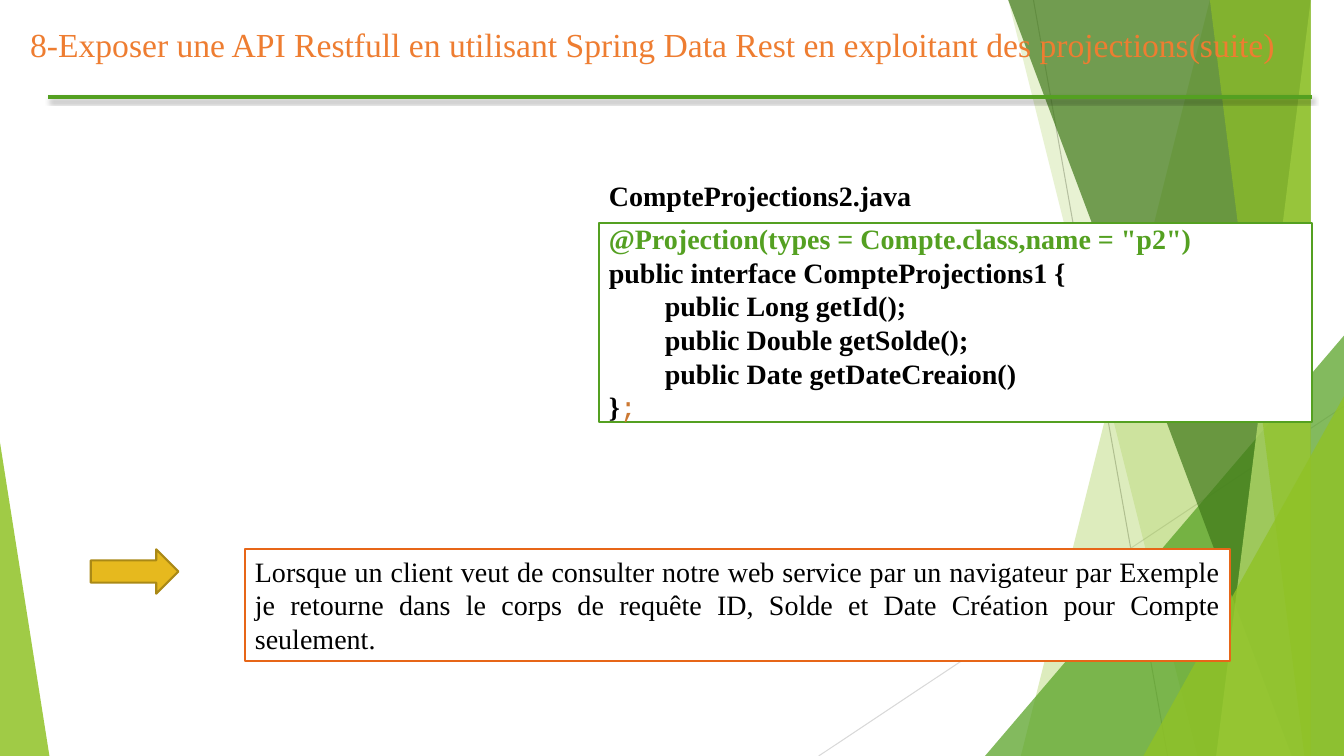
import lxml.etree
import pptx
import pptx.dml.color
import pptx.enum.shapes
import pptx.enum.text
import pptx.oxml.ns
import pptx.util

Inches = pptx.util.Inches
Pt = pptx.util.Pt
qn = pptx.oxml.ns.qn
SHAPE = pptx.enum.shapes.MSO_SHAPE
ANCHOR = pptx.enum.text.MSO_ANCHOR
ALIGN = pptx.enum.text.PP_ALIGN

THEME = {
    "font": "Times New Roman", "mono": "Courier New",
    "title_size": 24, "body_size": 20,
    "title": "EE7D31", "text": "000000", "white": "FFFFFF",
    "green": "54A021", "lime": "90C226", "dark": "3F7819", "pale": "C0E474",
    "orange": "E76618", "gold": "E6B91E", "gold_line": "AA8916",
    "semicolon": "CC7832", "grey": "BFBFBF", "light_grey": "D9D9D9",
}
WIDTH, HEIGHT, TOP = 13.33, 7.5, -0.01

TITLE = ("8-Exposer une API Restfull en utilisant Spring Data Rest "
         "en exploitant des projections(suite)")
FILE_NAME = "CompteProjections2.java"
CODE = [
    [('@Projection(types = Compte.class,name = "p2")', "font", "green")],
    [("public interface CompteProjections1 {", "font", "text")],
    [("        public Long getId();", "font", "text")],
    [("        public Double getSolde();", "font", "text")],
    [("        public Date getDateCreaion()", "font", "text")],
    [("}", "font", "text"), (";", "mono", "semicolon")],
]
NOTE = ("Lorsque un client veut de consulter notre web service par un navigateur "
        "par Exemple je retourne dans le corps de requête ID, Solde et Date "
        "Création pour Compte seulement.")

RAYS = [((10.25, 0), (11.58, HEIGHT), "grey"),
        ((WIDTH, 4.03), (8.12, HEIGHT), "light_grey")]
FACETS = [
    ("band", (12.28, 10.04), "lime", 30),
    ("band", (10.5, 11.83), "lime", 20),
    ("triangle", (9.77, 3.33, 3.56, 4.17, 1), "green", 72),
    ("band", (10.21, 12.91), "dark", 70),
    ("band", (13.03, 11.92), "pale", 70),
    ("band", (11.96, 13.18), "lime", 65),
    ("triangle", (11.34, 3.93, 1.99, 3.57, 1), "lime", 80),
    ("triangle", (0, 4.39, 0.49, 3.11, 0), "lime", 85),
]


def rgb(name):
    return pptx.dml.color.RGBColor.from_string(THEME[name])


def paint(sp, fill, line=None, alpha=100):
    sp.shadow.inherit = False
    sp.fill.solid()
    sp.fill.fore_color.rgb = rgb(fill)
    if alpha < 100:
        color = sp._element.spPr.find(qn("a:solidFill"))[0]
        lxml.etree.SubElement(color, qn("a:alpha"), val=str(alpha * 1000))
    if line:
        sp.line.color.rgb = rgb(line)
        sp.line.width = Pt(1.5)
    else:
        sp.line.fill.background()


def add_shape(slide, kind, box, fill, line=None, alpha=100):
    sp = slide.shapes.add_shape(kind, *map(Inches, box))
    paint(sp, fill, line, alpha)
    return sp


def add_line(slide, start, end, color, width):
    cxn = slide.shapes.add_connector(
        pptx.enum.shapes.MSO_CONNECTOR.STRAIGHT, *map(Inches, start + end))
    cxn.line.color.rgb = rgb(color)
    cxn.line.width = Pt(width)
    return lxml.etree.SubElement(cxn._element.spPr, qn("a:effectLst"))


def add_band(slide, top_x, bottom_x, fill, alpha):
    outline = slide.shapes.build_freeform(top_x, TOP, scale=Inches(1))
    outline.add_line_segments(
        [(WIDTH, TOP), (WIDTH, HEIGHT), (bottom_x, HEIGHT)], close=True)
    paint(outline.convert_to_shape(), fill, alpha=alpha)


def style(font, size, color, bold=False, face="font"):
    font.name = THEME[face]
    font.size = Pt(THEME[size])
    font.color.rgb = rgb(color)
    font.bold = bold


def add_label(slide, box, text, size, color, bold=False, wrap=True):
    tf = slide.shapes.add_textbox(*map(Inches, box)).text_frame
    tf.word_wrap = wrap
    p = tf.paragraphs[0]
    p.text = text
    style(p.font, size, color, bold)


def add_backdrop(slide):
    for start, end, color in RAYS:
        add_line(slide, start, end, color, 0.75)
    for kind, geometry, color, alpha in FACETS:
        if kind == "band":
            add_band(slide, *geometry, color, alpha)
        else:
            *box, apex = geometry
            sp = add_shape(slide, SHAPE.ISOSCELES_TRIANGLE, box, color, alpha=alpha)
            sp.adjustments[0] = apex


def add_title_rule(slide):
    effects = add_line(slide, (0.48, 0.96), (13.01, 0.96), "green", 3)
    shadow = lxml.etree.SubElement(
        effects, qn("a:outerShdw"), blurRad=str(Pt(3)), dist=str(Pt(2)),
        dir="5400000", rotWithShape="0")
    color = lxml.etree.SubElement(shadow, qn("a:srgbClr"), val=THEME["text"])
    lxml.etree.SubElement(color, qn("a:alpha"), val="35000")


def add_code(slide):
    sp = add_shape(slide, SHAPE.RECTANGLE, (5.94, 2.21, 7.07, 1.98), "white", "green")
    tf = sp.text_frame
    tf.word_wrap = True
    tf.vertical_anchor = ANCHOR.MIDDLE
    for i, runs in enumerate(CODE):
        p = tf.add_paragraph() if i else tf.paragraphs[0]
        p.alignment = ALIGN.LEFT
        for text, face, color in runs:
            r = p.add_run()
            r.text = text
            style(r.font, "body_size", color, face == "font", face)


def add_note(slide):
    sp = add_shape(slide, SHAPE.RECTANGLE, (2.43, 5.45, 9.77, 1.11), "white", "orange")
    tf = sp.text_frame
    tf.word_wrap = True
    tf.vertical_anchor = ANCHOR.TOP
    p = tf.paragraphs[0]
    p.text = NOTE
    p.alignment = ALIGN.JUSTIFY
    style(p.font, "body_size", "text")


def main():
    prs = pptx.Presentation()
    prs.slide_width, prs.slide_height = Inches(WIDTH), Inches(HEIGHT)
    slide = prs.slides.add_slide(prs.slide_layouts[6])
    add_backdrop(slide)
    add_title_rule(slide)
    add_label(slide, (0.2, 0.19, 12.89, 0.5), TITLE, "title_size", "title")
    add_code(slide)
    add_label(slide, (5.94, 1.72, 3.22, 0.44), FILE_NAME, "body_size", "text",
              bold=True, wrap=False)
    add_note(slide)
    add_shape(slide, SHAPE.RIGHT_ARROW, (0.9, 5.45, 0.87, 0.44), "gold", "gold_line")
    prs.save("out.pptx")


if __name__ == "__main__":
    main()
